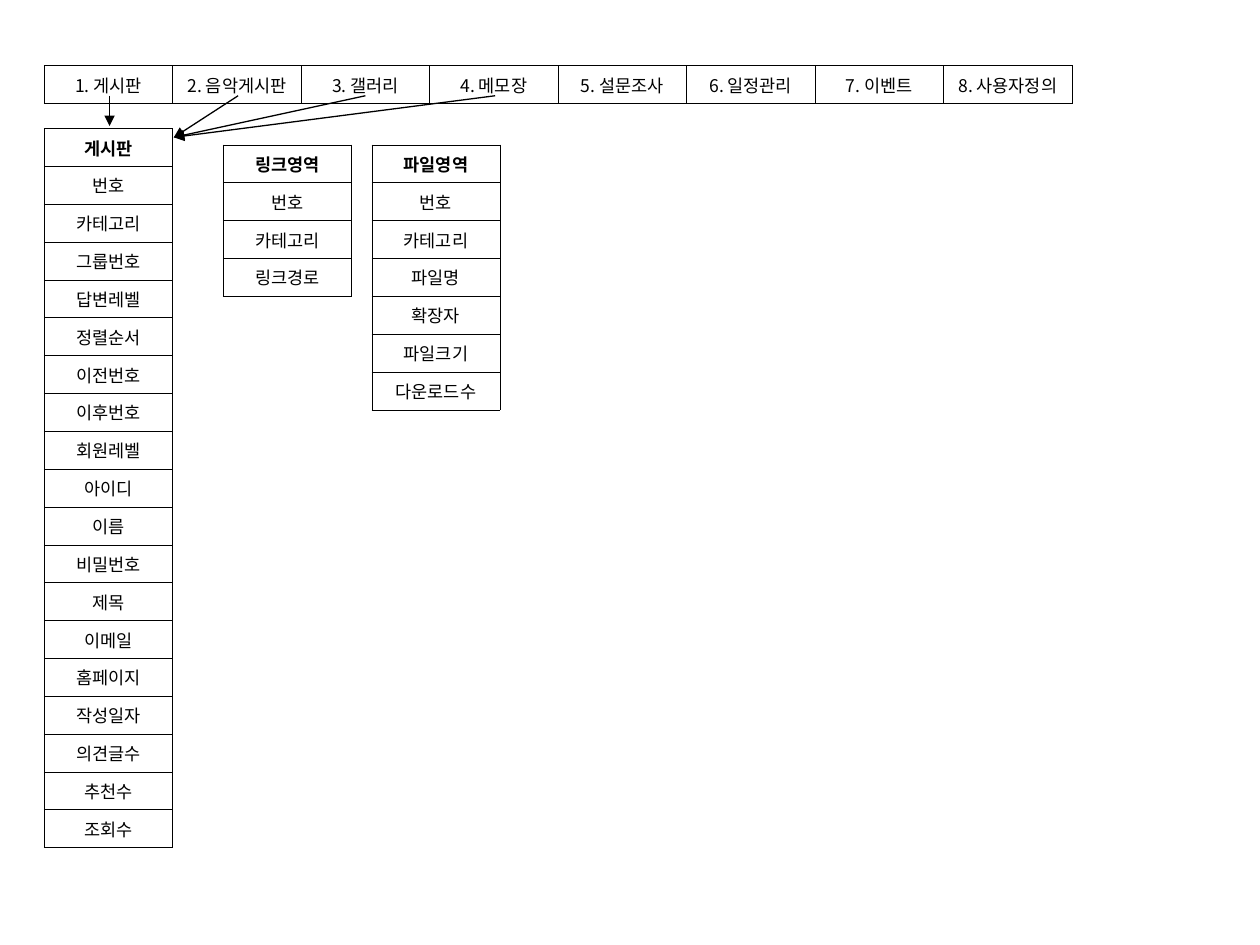
from lxml import etree
from pptx import Presentation
from pptx.dml.color import RGBColor
from pptx.enum.shapes import MSO_CONNECTOR
from pptx.enum.text import MSO_ANCHOR, PP_ALIGN
from pptx.oxml.ns import qn
from pptx.util import Inches, Pt

BLACK = RGBColor(0x00, 0x00, 0x00)
FONT = "Noto Sans CJK KR"
CENTER = PP_ALIGN.CENTER
MIDDLE = MSO_ANCHOR.MIDDLE
STRAIGHT = MSO_CONNECTOR.STRAIGHT
OUTER_LINE, INNER_LINE = Pt(0.23), Pt(0.45)
CELL_WIDTH, ROW_HEIGHT = 1.02, 0.24

MENU = ["1. 게시판", "2. 음악게시판", "3. 갤러리", "4. 메모장",
        "5. 설문조사", "6. 일정관리", "7. 이벤트", "8. 사용자정의"]
BOARD = ["게시판", "번호", "카테고리", "그룹번호", "답변레벨", "정렬순서",
         "이전번호", "이후번호", "회원레벨", "아이디", "이름", "비밀번호",
         "제목", "이메일", "홈페이지", "작성일자", "의견글수", "추천수", "조회수"]
LINKS = ["링크영역", "번호", "카테고리", "링크경로"]
FILES = ["파일영역", "번호", "카테고리", "파일명", "확장자", "파일크기", "다운로드수"]

# Start and end of each arrow from the menu to the board table
ARROWS = [((0.87, 0.76), (0.87, 1.0))] + [
    ((left, 0.76), (1.38, 1.09)) for left in (1.89, 2.9, 3.93)]


def set_borders(cell, widths):
    """Draw the left, right, top and bottom borders of a cell."""
    properties = cell._tc.get_or_add_tcPr()
    for index, (side, width) in enumerate(zip("LRTB", widths)):
        line = etree.Element(qn(f"a:ln{side}"), w=str(width))
        fill = etree.SubElement(line, qn("a:solidFill"))
        etree.SubElement(fill, qn("a:srgbClr"), val=str(BLACK))
        properties.insert(index, line)


def fill_cell(cell, text, bold):
    cell.fill.background()
    cell.vertical_anchor = MIDDLE
    cell.margin_left = cell.margin_right = Inches(0.04)
    cell.margin_top = cell.margin_bottom = Inches(0.05)
    para = cell.text_frame.paragraphs[0]
    para.alignment = CENTER
    span = para.add_run()
    span.text = text
    span.font.size = Pt(10)
    span.font.bold = bold
    span.font.color.rgb = BLACK
    span.font.name = FONT
    etree.SubElement(span.font._element, qn("a:ea"), typeface=FONT)


def add_grid(page, box, rows, bold_header=False):
    """Place a ruled table of equal cells in the box."""
    row_count, column_count = len(rows), len(rows[0])
    frame = page.shapes.add_table(row_count, column_count,
                                  *(Inches(length) for length in box))
    table = frame.table
    table.first_row = table.horz_banding = False
    for column in table.columns:
        column.width = Inches(CELL_WIDTH)
    for row in table.rows:
        row.height = Inches(ROW_HEIGHT)
    frame.height = Inches(box[3])

    for r, texts in enumerate(rows):
        for c, text in enumerate(texts):
            cell = table.cell(r, c)
            fill_cell(cell, text, bold_header and r == 0)
            on_edge = (c == 0, c == column_count - 1, r == 0, r == row_count - 1)
            set_borders(cell, [OUTER_LINE if edge else INNER_LINE for edge in on_edge])


def add_field_list(page, box, names):
    """Place a one-column table with a bold header."""
    add_grid(page, box, [[name] for name in names], bold_header=True)


def add_arrow(page, start, end):
    arrow = page.shapes.add_connector(
        STRAIGHT, *(Inches(length) for length in start + end))
    arrow.line.color.rgb = BLACK
    arrow.line.width = Pt(0.75)
    etree.SubElement(arrow.line._get_or_add_ln(), qn("a:tailEnd"), type="triangle")
    etree.SubElement(arrow._element.spPr, qn("a:effectLst"))


def main():
    deck = Presentation()
    deck.slide_width, deck.slide_height = Inches(10), Inches(7.5)
    page = deck.slides.add_slide(deck.slide_layouts[6])

    # Arrows lie behind the tables
    for start, end in ARROWS:
        add_arrow(page, start, end)

    # Field lists
    add_field_list(page, (2.95, 1.15, CELL_WIDTH, 1.45), FILES)
    add_field_list(page, (1.77, 1.15, CELL_WIDTH, 0.84), LINKS)
    add_field_list(page, (0.35, 1.02, CELL_WIDTH, 3.91), BOARD)

    # Menu bar
    add_grid(page, (0.35, 0.52, CELL_WIDTH * len(MENU), ROW_HEIGHT), [MENU])

    deck.save("out.pptx")


if __name__ == "__main__":
    main()
